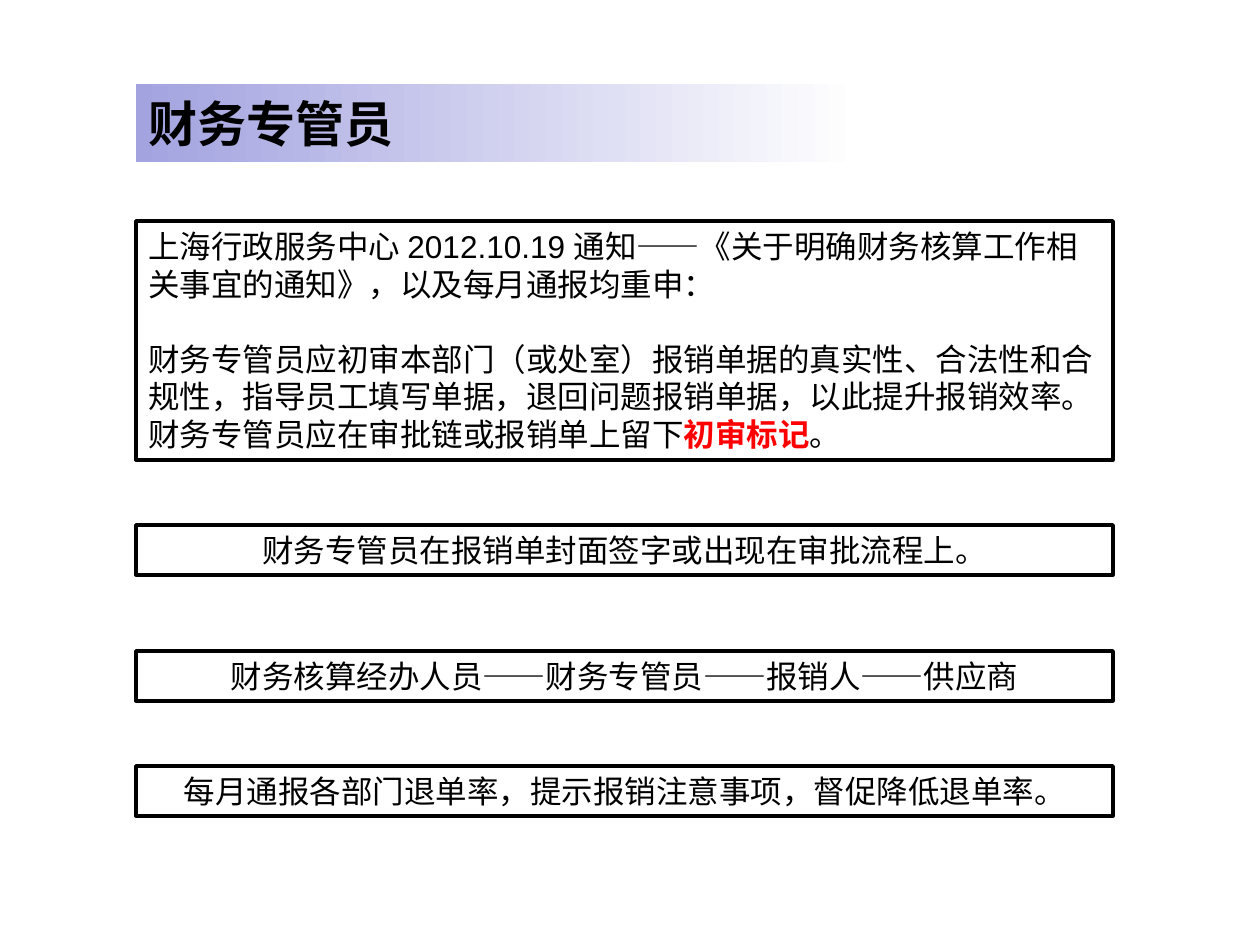
from dataclasses import dataclass

from pptx import Presentation
from pptx.dml.color import RGBColor
from pptx.enum.shapes import MSO_SHAPE
from pptx.enum.text import MSO_ANCHOR, PP_ALIGN
from pptx.util import Emu, Pt

RECT = MSO_SHAPE.RECTANGLE
TOP, MIDDLE = MSO_ANCHOR.TOP, MSO_ANCHOR.MIDDLE
LEFT, CENTER = PP_ALIGN.LEFT, PP_ALIGN.CENTER
PX_PER_INCH = 126


@dataclass(frozen=True)
class Theme:
    """Colours, fonts and type sizes of the slide."""
    ink: RGBColor = RGBColor(0x00, 0x00, 0x00)
    paper: RGBColor = RGBColor(0xFF, 0xFF, 0xFF)
    accent: RGBColor = RGBColor(0xFF, 0x00, 0x00)
    band: RGBColor = RGBColor(0xA3, 0xA3, 0xE0)
    title_font: str = "Noto Sans CJK SC"
    body_font: str = "Arial"
    title_size: Pt = Pt(28)
    body_size: Pt = Pt(18)
    paragraph_gap: Pt = Pt(21)
    border: Pt = Pt(2)


THEME = Theme()
MARGIN, BOX_W, LINE_H = 136, 977, 50
NOTICE = [
    [("上海行政服务中心 2012.10.19 通知——《关于明确财务核算工作相关事宜的通知》，以及每月通报均重申：", False)],
    [("财务专管员应初审本部门（或处室）报销单据的真实性、合法性和合规性，指导员工填写单据，"
      "退回问题报销单据，以此提升报销效率。财务专管员应在审批链或报销单上留下", False),
     ("初审标记", True), ("。", False)],
]
STATEMENTS = [
    (525, "财务专管员在报销单封面签字或出现在审批流程上。"),
    (651, "财务核算经办人员——财务专管员——报销人——供应商"),
    (766, "每月通报各部门退单率，提示报销注意事项，督促降低退单率。"),
]


def px(n):
    """Turn pixels into EMU."""
    return Emu(round(n * 914400 / PX_PER_INCH))


def add_rect(slide, box, anchor):
    """Add a plain rectangle whose text wraps."""
    s = slide.shapes.add_shape(RECT, *map(px, box))
    s.shadow.inherit = False
    tf = s.text_frame
    tf.word_wrap = True
    tf.vertical_anchor = anchor
    return s


def style_paragraph(p, font, size, align=LEFT, bold=False):
    """Give a paragraph its alignment and type."""
    p.alignment = align
    p.font.name = font
    p.font.size = size
    p.font.bold = bold
    p.font.color.rgb = THEME.ink


def add_title(slide, box, text):
    """Add the title on a band that fades to the right."""
    s = add_rect(slide, box, MIDDLE)
    s.line.fill.background()
    s.fill.gradient()
    s.fill.gradient_angle = 0
    for stop, color in zip(s.fill.gradient_stops, (THEME.band, THEME.paper)):
        stop.color.rgb = color
    p = s.text_frame.paragraphs[0]
    p.text = text
    style_paragraph(p, THEME.title_font, THEME.title_size, bold=True)


def add_box(slide, box, paragraphs, align=LEFT):
    """Add a bordered box of paragraphs, each a list of (text, marked) runs."""
    s = add_rect(slide, box, TOP)
    s.fill.solid()
    s.fill.fore_color.rgb = THEME.paper
    s.line.color.rgb = THEME.ink
    s.line.width = THEME.border
    tf = s.text_frame
    for i, runs in enumerate(paragraphs):
        p = tf.add_paragraph() if i else tf.paragraphs[0]
        style_paragraph(p, THEME.body_font, THEME.body_size, align)
        if i:
            p.space_before = THEME.paragraph_gap
        for text, marked in runs:
            r = p.add_run()
            r.text = text
            if marked:
                r.font.bold = True
                r.font.color.rgb = THEME.accent


def main():
    """Build the slide and save it."""
    prs = Presentation()
    prs.slide_width, prs.slide_height = px(1260), px(945)
    slide = prs.slides.add_slide(prs.slide_layouts[6])
    add_title(slide, (MARGIN, 84, 725, 78), "财务专管员")
    add_box(slide, (MARGIN, 221, BOX_W, 239), NOTICE)
    for top, text in STATEMENTS:
        add_box(slide, (MARGIN, top, BOX_W, LINE_H), [[(text, False)]], CENTER)
    prs.save("out.pptx")


if __name__ == "__main__":
    main()
